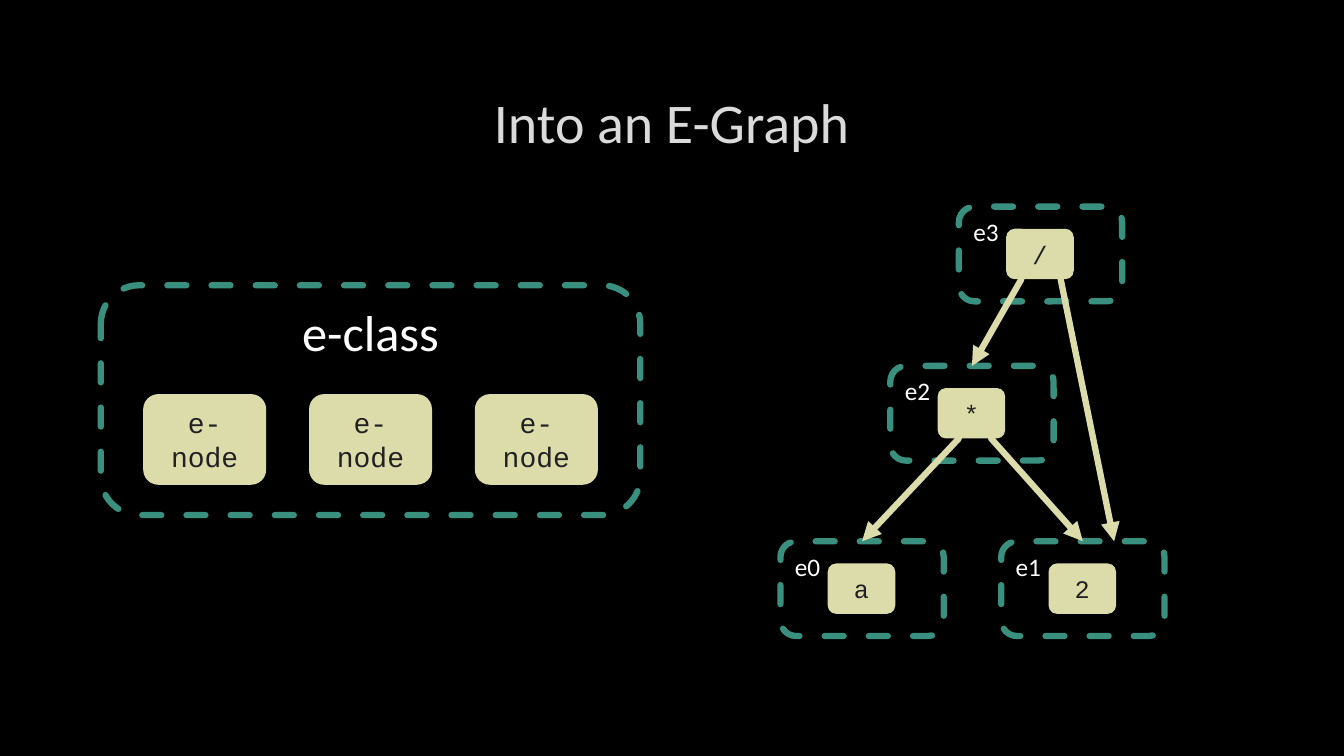
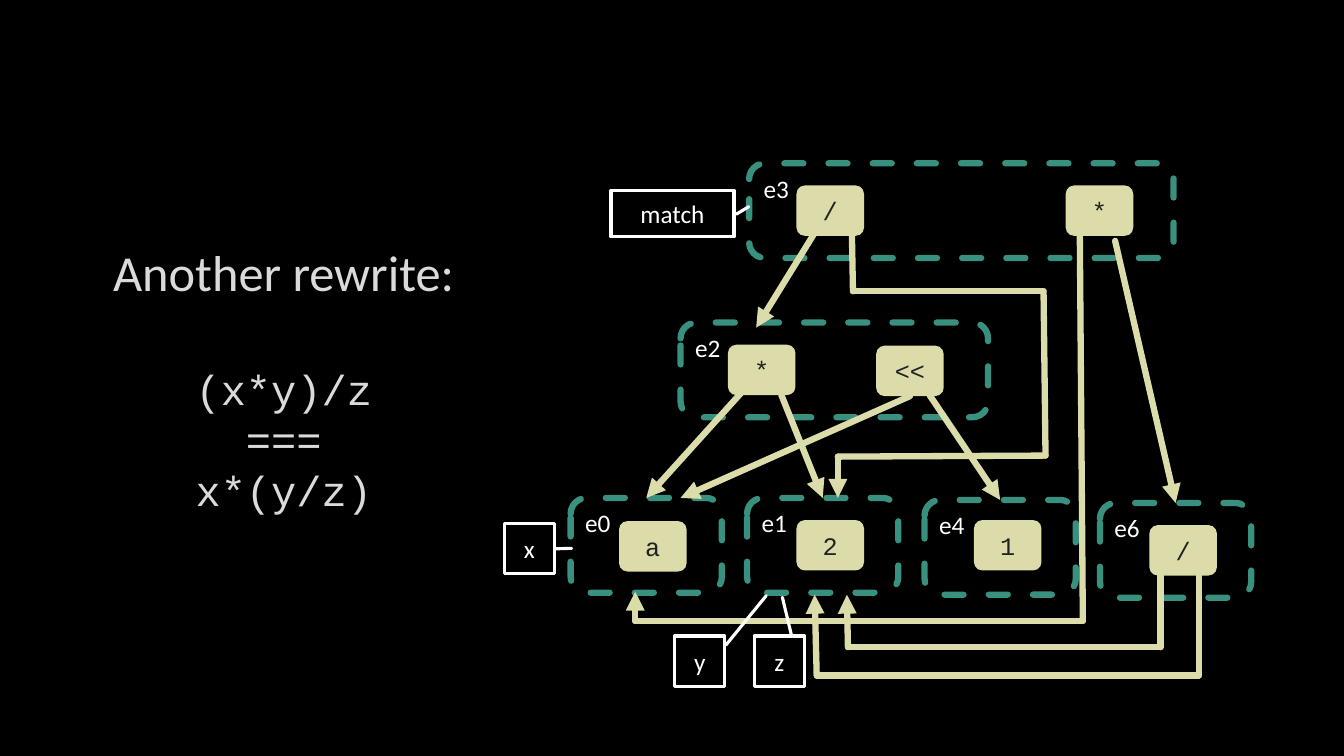
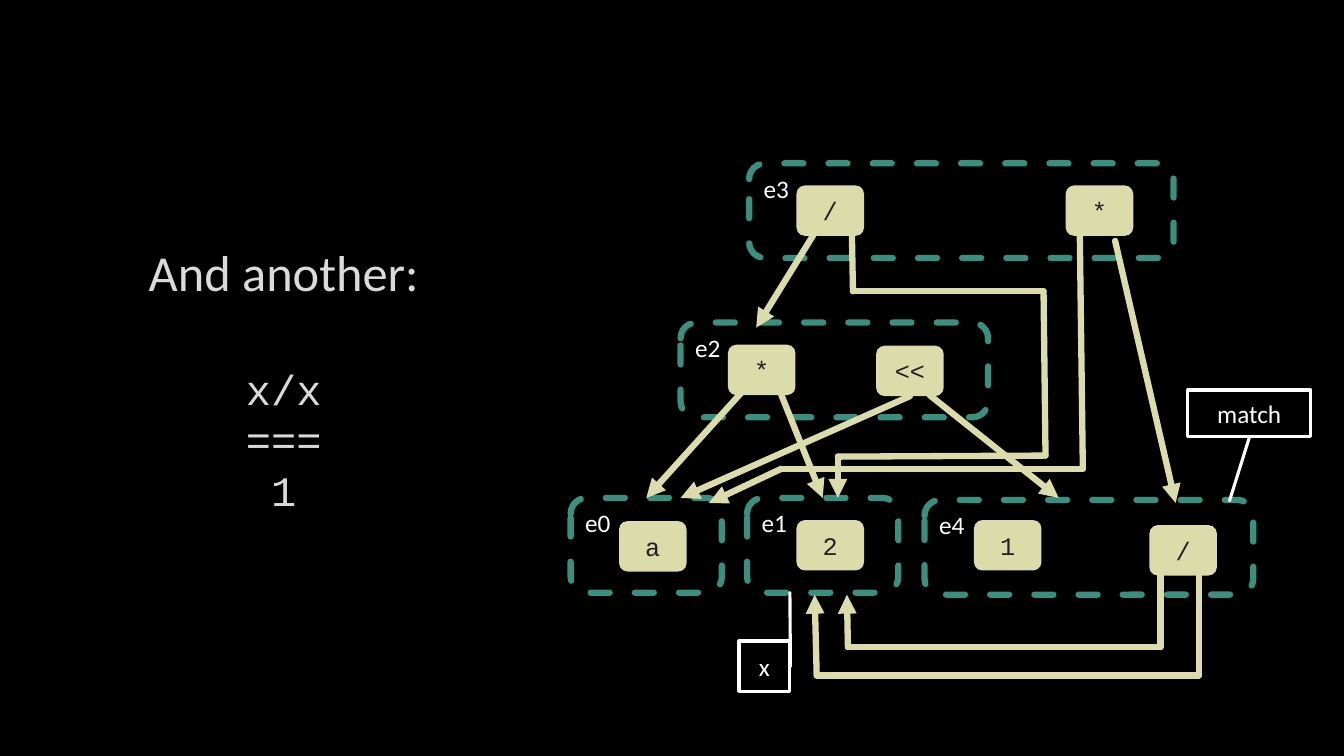
from dataclasses import dataclass

import pptx
import pptx.dml.color
import pptx.enum.dml
import pptx.enum.shapes
import pptx.enum.text
import pptx.oxml
import pptx.oxml.ns
import pptx.util
from pptx.util import Inches

ALIGN = pptx.enum.text.PP_ALIGN
ANCHOR = pptx.enum.text.MSO_ANCHOR
SHAPE = pptx.enum.shapes.MSO_SHAPE
Point = tuple[float, float]


@dataclass(frozen=True)
class Theme:
    background: str = "000000"
    title: str = "DADADA"
    white: str = "FFFFFF"
    node: str = "DCDCAA"
    node_text: str = "212123"
    border: str = "39907F"
    body_font: str = "Calibri"
    code_font: str = "Courier New"
    title_size: int = 40
    heading_size: int = 36
    rule_size: int = 30
    legend_size: int = 20
    label_size: int = 18
    thick: float = 4.5
    thin: float = 2.25


THEME = Theme()


@dataclass(frozen=True)
class Node:
    text: str
    dx: float = 0.47  # offset from the corner of the e-class
    dy: float = 0.22
    width: float = 0.67
    height: float = 0.5
    size: int = THEME.label_size


@dataclass(frozen=True)
class EClass:
    label: str
    left: float
    top: float
    nodes: tuple[Node, ...]
    width: float = 1.5
    height: float = 0.94
    size: int = THEME.label_size
    align: ALIGN = ALIGN.LEFT


@dataclass(frozen=True)
class Route:
    points: tuple[Point, ...]  # the last leg carries the arrowhead


@dataclass(frozen=True)
class Callout:
    text: str
    left: float
    top: float
    leader: tuple[float, float, float, float]  # y, x of start and end
    width: float = 0.5
    height: float = 0.5


# ---- Basic drawing ----
def rgb(color: str):
    return pptx.dml.color.RGBColor.from_string(color)


def add_text(frame, text: str, *, size: int, color: str = THEME.white,
             font: str = THEME.body_font, align: ALIGN = ALIGN.CENTER,
             anchor: ANCHOR = ANCHOR.MIDDLE, line_height: float | None = None,
             space_before: float = 0) -> None:
    """Add one paragraph to a text frame."""
    frame.word_wrap = True
    frame.vertical_anchor = anchor
    first = frame.paragraphs[0]
    paragraph = frame.add_paragraph() if first.runs else first
    paragraph.alignment = align
    paragraph.space_before = pptx.util.Pt(space_before)
    if line_height:
        paragraph.line_spacing = pptx.util.Pt(line_height)
    run = paragraph.add_run()
    run.text = text
    run.font.name = font
    run.font.size = pptx.util.Pt(size)
    run.font.color.rgb = rgb(color)


def style_line(line, color: str, width: float, dashed: bool = False) -> None:
    line.color.rgb = rgb(color)
    line.width = pptx.util.Pt(width)
    if dashed:
        line.dash_style = pptx.enum.dml.MSO_LINE.DASH
    line._get_or_add_ln().set("cap", "rnd")


def add_box(slide, kind: SHAPE, left: float, top: float, width: float,
            height: float, *, fill: str | None = None,
            border: str | None = None, border_width: float = THEME.thick,
            dashed: bool = False):
    shape = slide.shapes.add_shape(
        kind, Inches(left), Inches(top), Inches(width), Inches(height))
    shape.shadow.inherit = False
    if fill:
        shape.fill.solid()
        shape.fill.fore_color.rgb = rgb(fill)
    else:
        shape.fill.background()
    if border:
        style_line(shape.line, border, border_width, dashed)
    else:
        shape.line.fill.background()
    return shape


# ---- E-graph parts ----
def add_class(slide, item: EClass) -> list:
    box = add_box(slide, SHAPE.ROUNDED_RECTANGLE, item.left, item.top,
                  item.width, item.height, border=THEME.border, dashed=True)
    add_text(box.text_frame, item.label, size=item.size, align=item.align,
             anchor=ANCHOR.TOP)
    boxes = [box]
    for node in item.nodes:
        shape = add_box(slide, SHAPE.ROUNDED_RECTANGLE, item.left + node.dx,
                        item.top + node.dy, node.width, node.height,
                        fill=THEME.node)
        add_text(shape.text_frame, node.text, size=node.size,
                 font=THEME.code_font, color=THEME.node_text)
        boxes.append(shape)
    return boxes


def find_site(boxes: list, point: Point):
    """Return the box and side whose middle lies at the point, if any."""
    x, y = Inches(point[0]), Inches(point[1])
    for box in boxes:
        center, middle = box.left + box.width // 2, box.top + box.height // 2
        sites = ((center, box.top), (box.left, middle),
                 (center, box.top + box.height), (box.left + box.width, middle))
        for side, (site_x, site_y) in enumerate(sites):
            if max(abs(site_x - x), abs(site_y - y)) < Inches(0.02):
                return box, side
    return None


def add_route(slide, route: Route, boxes: list) -> None:
    legs = list(zip(route.points, route.points[1:]))
    for index, (start, end) in enumerate(legs):
        connector = slide.shapes.add_connector(
            pptx.enum.shapes.MSO_CONNECTOR.STRAIGHT,
            *(Inches(value) for value in start + end))
        style_line(connector.line, THEME.node, THEME.thick)
        if index == len(legs) - 1:
            head = pptx.oxml.parse_xml(
                f'<a:tailEnd {pptx.oxml.ns.nsdecls("a")} type="triangle"/>')
            connector.line._get_or_add_ln().append(head)
        connector._element.spPr.append(pptx.oxml.parse_xml(
            f'<a:effectLst {pptx.oxml.ns.nsdecls("a")}/>'))
        for point, join in ((start, connector.begin_connect),
                            (end, connector.end_connect)):
            site = find_site(boxes, point)
            if site:
                join(*site)


def add_callout(slide, item: Callout) -> None:
    shape = add_box(slide, SHAPE.LINE_CALLOUT_1, item.left, item.top,
                    item.width, item.height, border=THEME.white,
                    border_width=THEME.thin)
    for index, value in enumerate(item.leader):
        shape.adjustments[index] = value
    add_text(shape.text_frame, item.text, size=THEME.label_size)


def add_graph(slide, classes: tuple[EClass, ...], routes: tuple[Route, ...],
              callouts: tuple[Callout, ...] = ()) -> None:
    boxes = [box for item in classes for box in add_class(slide, item)]
    for route in routes:
        add_route(slide, route, boxes)
    for callout in callouts:
        add_callout(slide, callout)


# ---- Slide frame ----
def new_slide(presentation, title: str, area: tuple[float, ...], size: int,
              rule: tuple[str, ...] = ()):
    slide = presentation.slides.add_slide(presentation.slide_layouts[6])
    slide.background.fill.solid()
    slide.background.fill.fore_color.rgb = rgb(THEME.background)
    frame = slide.shapes.add_textbox(*(Inches(v) for v in area)).text_frame
    add_text(frame, title, size=size, color=THEME.title)
    for index, line in enumerate(rule):
        add_text(frame, line, size=THEME.rule_size, color=THEME.title,
                 font=THEME.code_font, line_height=36,
                 space_before=0 if index else 44)
    return slide


# ---- Slide 1: legend and first graph ----
LEGEND = EClass(
    "e-class", 1, 2.83,
    tuple(Node("e-node", 0.42 + 1.645 * column, 1.08, 1.22, 0.9,
               THEME.legend_size) for column in range(3)),
    5.35, 2.28, THEME.heading_size, ALIGN.CENTER)
FIRST_CLASSES = tuple(
    EClass(label, left, top, (Node(text),), 1.62)
    for label, text, left, top in (
        ("e2", "*", 8.83, 3.63), ("e0", "a", 7.74, 5.37),
        ("e1", "2", 9.93, 5.37), ("e3", "/", 9.51, 2.05)))
FIRST_ROUTES = (
    Route(((10.13, 2.77), (9.64, 3.63))),
    Route(((9.83, 4.35), (10.74, 5.37))),
    Route(((10.52, 2.77), (11.05, 5.37))),
    Route(((9.51, 4.35), (8.55, 5.37))),
)

# ---- Slides 2 and 3: parts in common ----
SIDE_AREA = (0.91, 1.22, 3.81, 5.06)
SHARED_CLASSES = (
    EClass("e3", 7.43, 1.62, (Node("/"), Node("*", 3.14)), 4.21),
    EClass("e2", 6.75, 3.2, (Node("*"), Node("<<", 1.94, 0.23)), 3.05),
    EClass("e0", 5.66, 4.94, (Node("a", 0.48, 0.23),)),
    EClass("e1", 7.41, 4.94, (Node("2", 0.49),)),
)
SHARED_ROUTES = (
    Route(((8.08, 2.31), (7.5, 3.25))),
    Route(((7.75, 3.92), (8.16, 4.94))),
    Route(((9.03, 3.93), (6.75, 4.94))),
    Route(((7.43, 3.81), (6.41, 4.94))),
    Route(((8.45, 2.34), (8.46, 2.89), (10.35, 2.89), (10.37, 4.52),
           (8.31, 4.53), (8.31, 4.94))),
    Route(((11.06, 2.39), (11.66, 4.99))),
    Route(((11.89, 5.69), (11.89, 6.7), (8.1, 6.7), (8.08, 5.9))),
    Route(((11.51, 5.71), (11.51, 6.42), (8.41, 6.42), (8.4, 5.9))),
)

# ---- Slide 2 ----
SECOND_CLASSES = (
    EClass("e4", 9.17, 4.96, (Node("1", 0.49, 0.2),)),
    EClass("e6", 10.91, 4.99, (Node("/", 0.49),)),
)
SECOND_ROUTES = (
    Route(((9.22, 3.92), (9.92, 4.96))),
    Route(((10.71, 2.34), (10.74, 6.16), (6.3, 6.16), (6.3, 5.87))),
)
SECOND_CALLOUTS = (
    Callout("match", 6.06, 1.89, (0.51, 1.02, 0.35, 1.12), 1.22, 0.46),
    Callout("x", 5, 5.19, (0.51, 1.02, 0.5, 1.34)),
    Callout("y", 6.69, 6.31, (0.18, 1.02, -0.8, 1.82)),
    Callout("z", 7.48, 6.31, (-0.02, 0.74, -0.77, 0.56)),
)

# ---- Slide 3 ----
THIRD_CLASSES = (
    EClass("e4", 9.17, 4.96,
           (Node("1", 0.49, 0.2), Node("/", 2.23, 0.25)), 3.26),
)
THIRD_ROUTES = (
    Route(((9.22, 3.92), (10.5, 4.94))),
    Route(((10.71, 2.34), (10.74, 4.65), (7.75, 4.65), (7.03, 4.99))),
)
THIRD_CALLOUTS = (
    Callout("match", 11.78, 3.87, (1.03, 0.5, 2.39, 0.34), 1.22, 0.46),
    Callout("x", 7.33, 6.36, (0.51, 1.02, -0.96, 1.01)),
)


def main() -> None:
    presentation = pptx.Presentation()
    presentation.slide_width = Inches(13.33)
    presentation.slide_height = Inches(7.5)

    slide = new_slide(presentation, "Into an E-Graph", (1, 0.67, 11.32, 1.06),
                      THEME.title_size)
    add_graph(slide, (LEGEND,) + FIRST_CLASSES, FIRST_ROUTES)

    slide = new_slide(presentation, "Another rewrite:", SIDE_AREA,
                      THEME.heading_size, ("(x*y)/z", "===", "x*(y/z)"))
    add_graph(slide, SHARED_CLASSES + SECOND_CLASSES,
              SHARED_ROUTES + SECOND_ROUTES, SECOND_CALLOUTS)

    slide = new_slide(presentation, "And another:", SIDE_AREA,
                      THEME.heading_size, ("x/x", "===", "1"))
    add_graph(slide, SHARED_CLASSES + THIRD_CLASSES,
              SHARED_ROUTES + THIRD_ROUTES, THIRD_CALLOUTS)

    presentation.save("out.pptx")


if __name__ == "__main__":
    main()
